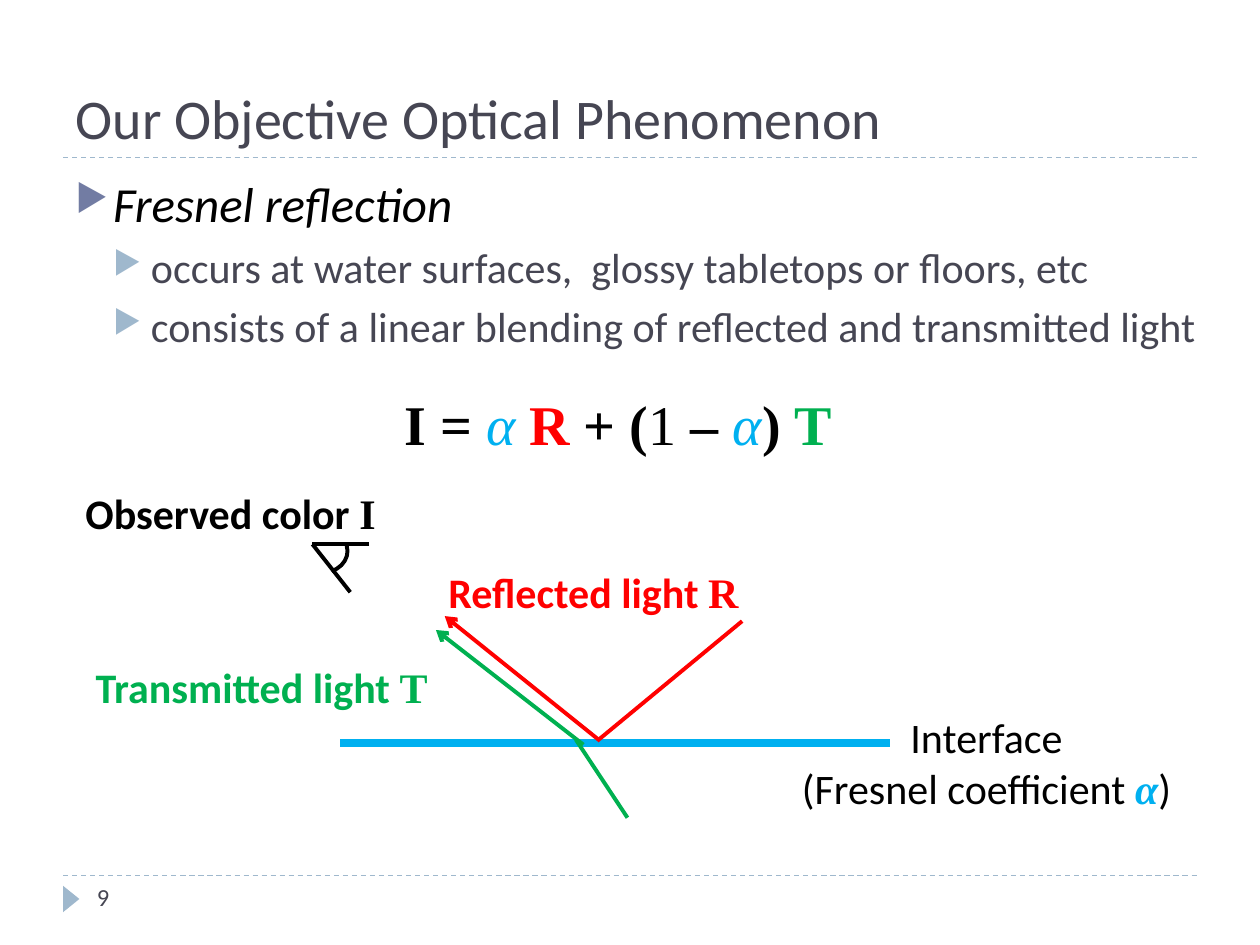
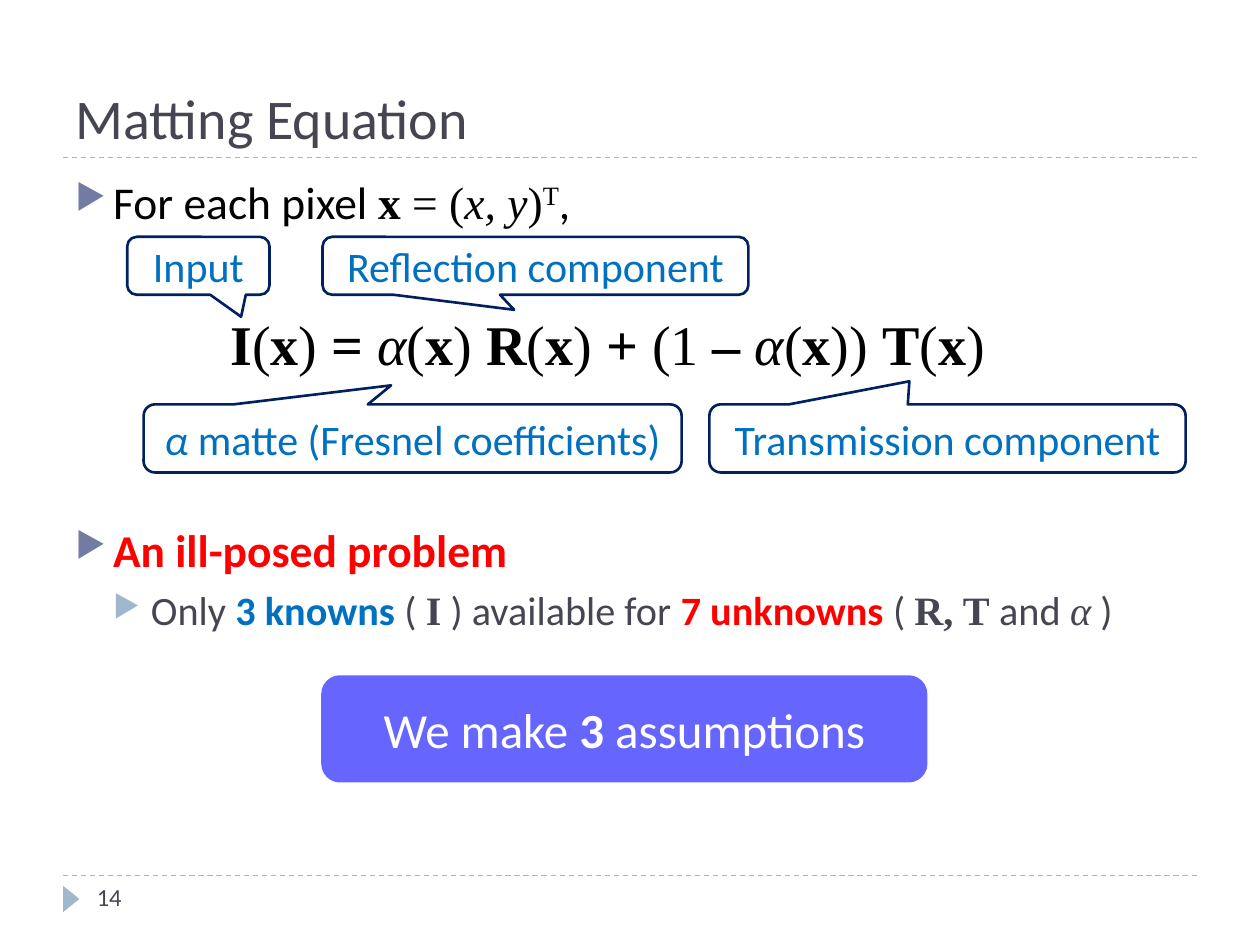
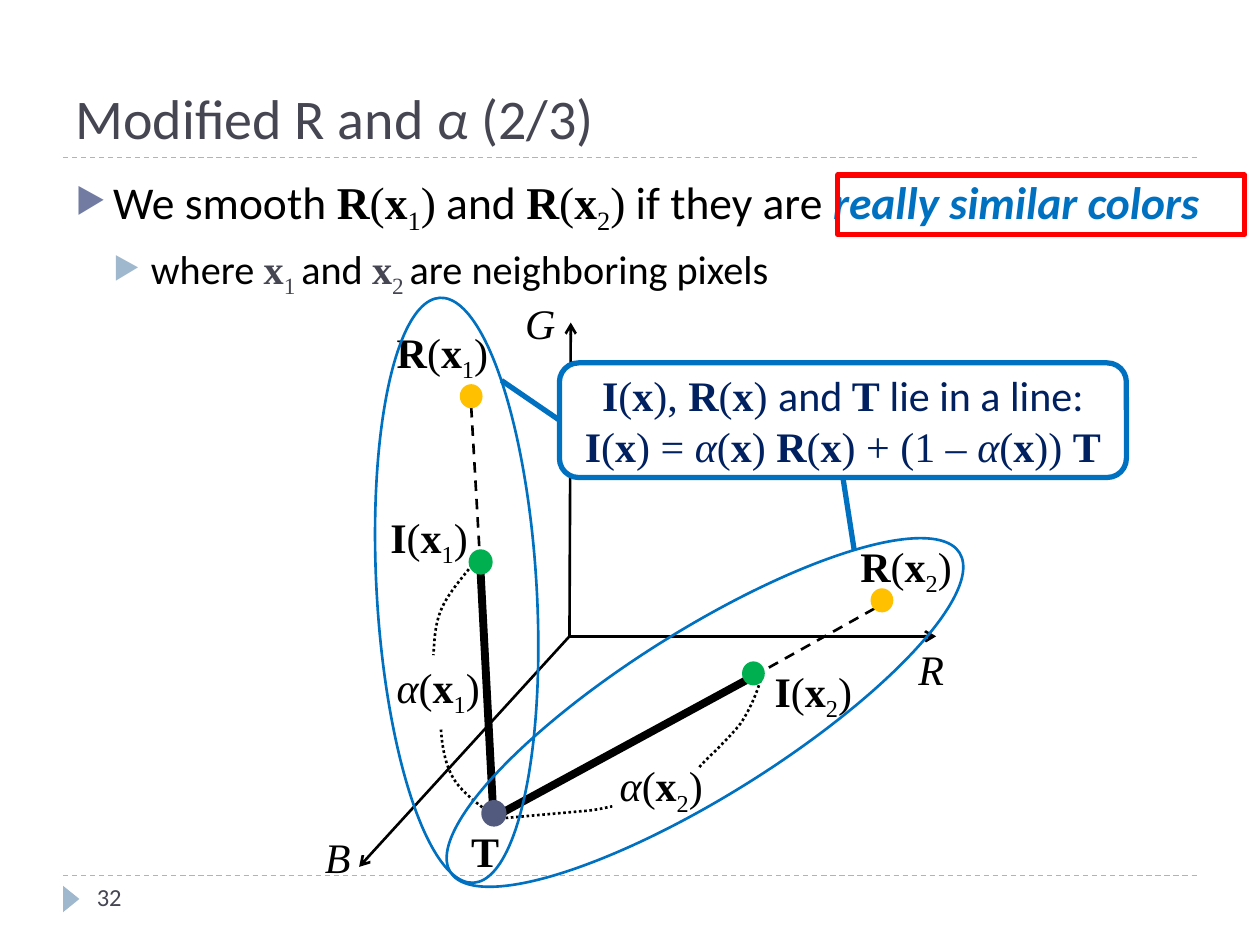
from lxml.etree import SubElement
from pptx import Presentation
from pptx.dml.color import RGBColor
from pptx.enum.dml import MSO_LINE
from pptx.enum.shapes import MSO_CONNECTOR, MSO_SHAPE
from pptx.enum.text import MSO_ANCHOR, MSO_AUTO_SIZE, PP_ALIGN
from pptx.oxml.ns import qn
from pptx.util import Inches, Pt

SANS, SERIF = "Calibri", "Times New Roman"
COLORS = {
    "black": "000000", "white": "FFFFFF", "ink": "464653", "pale": "9FB8CD",
    "bullet": "727CA3", "slate": "525B7E", "red": "FF0000", "green": "00B050",
    "sky": "00B0F0", "blue": "0070C0", "navy": "002060", "violet": "6666FF",
    "amber": "FFC000",
}
LEVELS = [
    {"indent": 0.3, "before": 6, "bullet": "bullet"},
    {"indent": 0.6, "before": 5, "bullet": "pale"},
]


def rgb(name):
    """Return the named colour."""
    return RGBColor.from_string(COLORS[name])


def add_run(p, text, size=24, color="black", flags=""):
    """Add a run; flags are b bold, i italic, s serif, _ subscript, ^ superscript."""
    r = p.add_run()
    r.text = text
    r.font.size = Pt(size)
    r.font.name = SERIF if "s" in flags else SANS
    r.font.bold = "b" in flags
    r.font.italic = "i" in flags
    r.font.color.rgb = rgb(color)
    for mark, offset in (("_", "-25000"), ("^", "30000")):
        if mark in flags:
            r.font._element.set("baseline", offset)


def write(p, pieces, size=24, color="black", align=PP_ALIGN.LEFT):
    """Fill a paragraph from (text, flags, colour) pieces; a newline breaks the line."""
    p.alignment = align
    for text, flags, *own in pieces:
        if text == "\n":
            p.add_line_break()
        else:
            add_run(p, text, size, own[0] if own else color, flags)


def of(name, index=""):
    """Return the pieces of a function of pixel x, with an optional index."""
    sub = [(index, "s_")] if index else []
    return [(name, "is" if name == "α" else "bs"), ("(", "s"), ("x", "bs"), *sub, (")", "s")]


def add_label(slide, x, y, w, h, pieces, **fmt):
    """Add a one-paragraph text box that grows with its text."""
    tf = slide.shapes.add_textbox(Inches(x), Inches(y), Inches(w), Inches(h)).text_frame
    tf.word_wrap = False
    tf.auto_size = MSO_AUTO_SIZE.SHAPE_TO_FIT_TEXT
    write(tf.paragraphs[0], pieces, **fmt)


def add_bullets(slide, items, width=9.5):
    """Add the body from (level, size, colour, pieces, space before) items."""
    box = slide.shapes.add_textbox(Inches(0.5), Inches(1.33), Inches(width), Inches(5.4))
    tf = box.text_frame
    tf.word_wrap = True
    for n, (level, size, color, pieces, *before) in enumerate(items):
        style = LEVELS[level]
        p = tf.add_paragraph() if n else tf.paragraphs[0]
        p.level = level
        pPr = p._p.get_or_add_pPr()
        pPr.set("marL", str(Inches(style["indent"])))
        pPr.set("indent", str(Inches(-0.3)))
        clr = SubElement(pPr, qn("a:buClr"))
        SubElement(clr, qn("a:srgbClr")).set("val", COLORS[style["bullet"]])
        SubElement(pPr, qn("a:buSzPct")).set("val", "76000")
        SubElement(pPr, qn("a:buChar")).set("char", "▶")
        if n:
            p.space_before = Pt(before[0] if before else style["before"])
        write(p, pieces, size, color)


def set_line(line, color, width, dash=None):
    """Format a line."""
    line.color.rgb = rgb(color)
    line.width = Pt(width)
    if dash:
        line.dash_style = dash


def add_line(slide, start, end, color="black", width=1.5, dash=None, arrow=False):
    """Add a straight line, with an arrowhead at its end if wanted."""
    line = slide.shapes.add_connector(
        MSO_CONNECTOR.STRAIGHT, *(Inches(v) for v in (*start, *end)))
    set_line(line.line, color, width, dash)
    if arrow:
        SubElement(line.line._get_or_add_ln(), qn("a:tailEnd")).set("type", "arrow")
    SubElement(line._element.spPr, qn("a:effectLst"))
    return line


def add_shape(slide, kind, x, y, w, h, fill=None, line=None, width=1.5, rotation=0,
              adjust=(), pieces=(), **fmt):
    """Add a preset shape with optional centred text."""
    sp = slide.shapes.add_shape(kind, Inches(x), Inches(y), Inches(w), Inches(h))
    sp.shadow.inherit = False
    sp.rotation = rotation
    for n, value in enumerate(adjust):
        sp.adjustments[n] = value
    if fill:
        sp.fill.solid()
        sp.fill.fore_color.rgb = rgb(fill)
    else:
        sp.fill.background()
    if line:
        set_line(sp.line, line, width)
    else:
        sp.line.fill.background()
    if pieces:
        sp.text_frame.word_wrap = True
        sp.text_frame.vertical_anchor = MSO_ANCHOR.MIDDLE
        write(sp.text_frame.paragraphs[0], pieces, align=PP_ALIGN.CENTER, **fmt)
    return sp


def add_dot(slide, x, y, size, color):
    """Add a filled dot."""
    add_shape(slide, MSO_SHAPE.OVAL, x, y, size, size + 0.01, color, color)


def add_dotted_curve(slide, start, *curves, steps=12):
    """Add a dotted open outline through cubic curves."""
    points, (x0, y0) = [], start
    for x1, y1, x2, y2, x3, y3 in curves:
        for t in (n / steps for n in range(1, steps + 1)):
            weights = (1 - t) ** 3, 3 * t * (1 - t) ** 2, 3 * t * t * (1 - t), t ** 3
            points.append(tuple(
                Inches(sum(k * v for k, v in zip(weights, axis)))
                for axis in ((x0, x1, x2, x3), (y0, y1, y2, y3))))
        x0, y0 = x3, y3
    builder = slide.shapes.build_freeform(Inches(start[0]), Inches(start[1]))
    builder.add_line_segments(points, close=False)
    sp = builder.convert_to_shape()
    sp.shadow.inherit = False
    sp.fill.background()
    set_line(sp.line, "black", 1.5, MSO_LINE.ROUND_DOT)


def add_slide(prs, number, title):
    """Add a slide with its rules, marker, title and number."""
    slide = prs.slides.add_slide(prs.slide_layouts[5])
    for y in (6.95, 1.25):
        add_line(slide, (0.5, y), (9.5, y), "pale", 0.75, MSO_LINE.DASH)
    add_shape(slide, MSO_SHAPE.ISOSCELES_TRIANGLE, 0.46, 7.07, 0.21, 0.13, "pale", rotation=90)
    sp = slide.shapes.title
    sp.left, sp.top, sp.width, sp.height = (Inches(v) for v in (0.5, 0.17, 9, 1.08))
    sp.text_frame.vertical_anchor = MSO_ANCHOR.BOTTOM
    write(sp.text_frame.paragraphs[0], title, 32, "ink")
    add_label(slide, 0.67, 6.95, 2.17, 0.4, [(str(number), "")], size=14, color="ink")
    return slide


def build_phenomenon(prs):
    """Build the Fresnel reflection slide."""
    slide = add_slide(prs, 9, [("Our Objective Optical Phenomenon", "")])
    add_bullets(slide, [
        (0, 28, "black", [("Fresnel reflection", "i")]),
        (1, 24, "ink", [("occurs at water surfaces,  glossy tabletops or floors, etc", "")]),
        (1, 24, "ink", [("consists of a linear blending of reflected and transmitted light", "")]),
    ])
    add_line(slide, (2.7, 5.9), (7.06, 5.9), "sky", 4.5)
    for start, end, color, arrow in (
        ((5.89, 4.93), (4.74, 5.88), "red", False),
        ((4.75, 5.87), (3.53, 4.89), "red", True),
        ((4.57, 5.87), (4.98, 6.49), "green", False),
        ((4.63, 5.91), (3.46, 5), "green", True),
        ((2.93, 4.32), (2.48, 4.32), "black", False),
        ((2.78, 4.7), (2.48, 4.32), "black", False),
    ):
        add_line(slide, start, end, color, 2.25, arrow=arrow)
    add_shape(slide, MSO_SHAPE.ARC, 2.43, 4.21, 0.31, 0.35,
              line="black", width=2.25, rotation=72.3)
    add_label(slide, 6.25, 5.6, 3.16, 0.91, [
        ("Interface", ""), ("\n", ""), ("(Fresnel coefficient ", ""),
        ("α", "bis", "sky"), (")", "")], align=PP_ALIGN.CENTER)
    for x, y, w, text, symbol, color in (
        (3.46, 4.45, 2.81, "Reflected light ", "R", "red"),
        (0.66, 5.2, 3.25, "Transmitted light ", "T", "green"),
        (0.58, 3.82, 2.86, "Observed color ", "I", "black"),
    ):
        add_label(slide, x, y, w, 0.5, [(text, "b"), (symbol, "bs")], color=color)
    add_label(slide, 3.11, 3.04, 3.62, 0.64, [
        ("I = ", "bs"), ("α ", "is", "sky"), ("R", "bs", "red"), (" + (", "bs"), ("1", "s"),
        (" – ", "bs"), ("α", "is", "sky"), (") ", "bs"), ("T", "bs", "green")], size=32)


def build_matting(prs):
    """Build the matting equation slide."""
    slide = add_slide(prs, 14, [("Matting Equation", "")])
    add_bullets(slide, [
        (0, 26, "black", [("For each pixel ", ""), ("x", "bs"), (" = (", "s"), ("x, y", "is"),
                          (")", "s"), ("T", "s^"), (",", "")]),
        (0, 26, "red", [("An ill-posed problem", "b")], 168),
        (1, 23, "ink", [("Only ", ""), ("3 knowns ", "b", "blue"), ("( ", ""), ("I", "bs"),
                        (" ) available for ", ""), ("7 unknowns", "b", "red"), (" ( ", ""),
                        ("R, T ", "bs"), ("and ", ""), ("α", "is"), (" )", "")]),
    ], width=9)
    add_label(slide, 1.73, 2.41, 6.23, 0.64, [
        *of("I"), (" = ", "bs"), *of("α"), (" ", "s"), *of("R"), (" + ", "bs"), ("(1", "s"),
        (" – ", "bs"), *of("α"), (") ", "s"), *of("T")], size=32)
    for x, y, w, h, tip, pieces in (
        (1.01, 1.88, 1.13, 0.46, (0.3, 0.88), [("Input", "")]),
        (1.14, 3.21, 4.27, 0.54, (-0.04, -0.78),
         [("α ", "i"), ("matte (Fresnel coefficients)", "")]),
        (2.56, 1.88, 3.38, 0.46, (-0.05, 0.76), [("Reflection component", "")]),
        (5.63, 3.21, 3.78, 0.54, (-0.08, -0.84), [("Transmission component", "")]),
    ):
        add_shape(slide, MSO_SHAPE.ROUNDED_RECTANGULAR_CALLOUT, x, y, w, h, "white", "navy",
                  adjust=tip, pieces=pieces, color="blue")
    add_shape(slide, MSO_SHAPE.FLOWCHART_ALTERNATE_PROCESS, 2.56, 5.37, 4.79, 0.83,
              "violet", "violet", size=28, color="white",
              pieces=[("We make ", ""), ("3", "b"), (" assumptions", "")])


def build_modified(prs):
    """Build the colour space slide."""
    slide = add_slide(prs, 32, [("Modified R and ", ""), ("α ", "i"), ("(2/3)", "")])
    add_bullets(slide, [
        (0, 26, "black", [("We smooth ", ""), *of("R", "1"), (" and ", ""), *of("R", "2"),
                          (" if they are ", ""), ("really similar colors", "bi", "blue")]),
        (1, 23, "black", [("where ", ""), ("x", "bs", "ink"), ("1 ", "s_", "ink"), ("and ", ""),
                          ("x", "bs", "ink"), ("2 ", "s_", "ink"),
                          ("are neighboring pixels", "")]),
    ])
    for start, *curves in (
        ((3.8, 4.42), (3.69, 4.56, 3.57, 4.69, 3.51, 4.82), (3.45, 4.95, 3.45, 5.07, 3.44, 5.2)),
        ((3.93, 6.5), (4.15, 6.48, 4.38, 6.46, 4.6, 6.44), (4.75, 6.43, 4.8, 6.41, 4.86, 6.4)),
        ((6.05, 5.36), (6.01, 5.49, 5.96, 5.62, 5.88, 5.74), (5.79, 5.86, 5.59, 6.04, 5.55, 6.09)),
        ((3.93, 6.48), (3.8, 6.39, 3.67, 6.29, 3.6, 6.18), (3.53, 6.06, 3.51, 5.92, 3.5, 5.79)),
    ):
        add_dotted_curve(slide, start, *curves)
    for tip in ((7.43, 5.05), (2.85, 6.88), (4.53, 2.56)):
        add_line(slide, (4.52, 5.05), tip, arrow=True)
    for start, end in (((3.74, 3.23), (3.92, 6.36)), ((6.94, 4.83), (5.92, 5.4))):
        add_line(slide, start, end, dash=MSO_LINE.DASH)
    for x, y in ((6.92, 4.68), (3.66, 3.06)):
        add_dot(slide, x, y, 0.16, "amber")
    for x, y, w, pieces in (
        (3.05, 2.54, 0.95, of("R", "1")),
        (3, 4.01, 0.84, of("I", "1")),
        (3.64, 6.5, 0.43, [("T", "bs")]),
        (6.05, 5.23, 0.84, of("I", "2")),
        (6.73, 4.24, 0.95, of("R", "2")),
        (7.19, 5.06, 0.41, [("R", "is")]),
        (4.07, 2.31, 0.45, [("G", "is")]),
        (2.48, 6.55, 0.41, [("B", "is")]),
        (3.05, 5.2, 0.88, of("α", "1")),
        (4.82, 5.98, 0.88, of("α", "2")),
    ):
        add_label(slide, x, y, w, 0.5, pieces)
    for start, end in (((5.92, 5.4), (3.95, 6.47)), ((3.81, 4.46), (3.92, 6.55))):
        add_line(slide, start, end, width=4.5)
    add_dot(slide, 3.83, 6.36, 0.18, "slate")
    add_dot(slide, 5.9, 5.26, 0.16, "green")
    add_dot(slide, 3.73, 4.37, 0.17, "green")
    add_shape(slide, MSO_SHAPE.RECTANGLE, 6.65, 1.39, 3.23, 0.47, line="red", width=3)
    for x, y, w, h, angle in ((2.99, 2.36, 1.27, 4.65, 356.7), (4.94, 3.27, 1.31, 4.77, 57.9)):
        add_shape(slide, MSO_SHAPE.OVAL, x, y, w, h, line="blue", rotation=angle)
    note = add_shape(
        slide, MSO_SHAPE.ROUNDED_RECTANGLE, 4.44, 2.88, 4.5, 0.91, "white", "blue", 3,
        color="navy", pieces=[
            *of("I"), (", ", "s"), *of("R"), (" ", "s"), ("and ", ""), ("T ", "bs"),
            ("lie in a line:", ""), ("\n", ""), *of("I"), (" = ", "s"), *of("α"), (" ", "s"),
            *of("R"), (" + (1 – ", "s"), *of("α"), (") ", "s"), ("T", "bs")])
    for side, start, end in ((1, (4.44, 3.34), (3.98, 3.02)), (2, (6.69, 3.79), (6.78, 4.37))):
        add_line(slide, start, end, "blue", 3).begin_connect(note, side)


def main():
    """Build and save the slides."""
    prs = Presentation()
    prs.slide_width, prs.slide_height = Inches(10), Inches(7.5)
    build_phenomenon(prs)
    build_matting(prs)
    build_modified(prs)
    prs.save("out.pptx")


if __name__ == "__main__":
    main()
